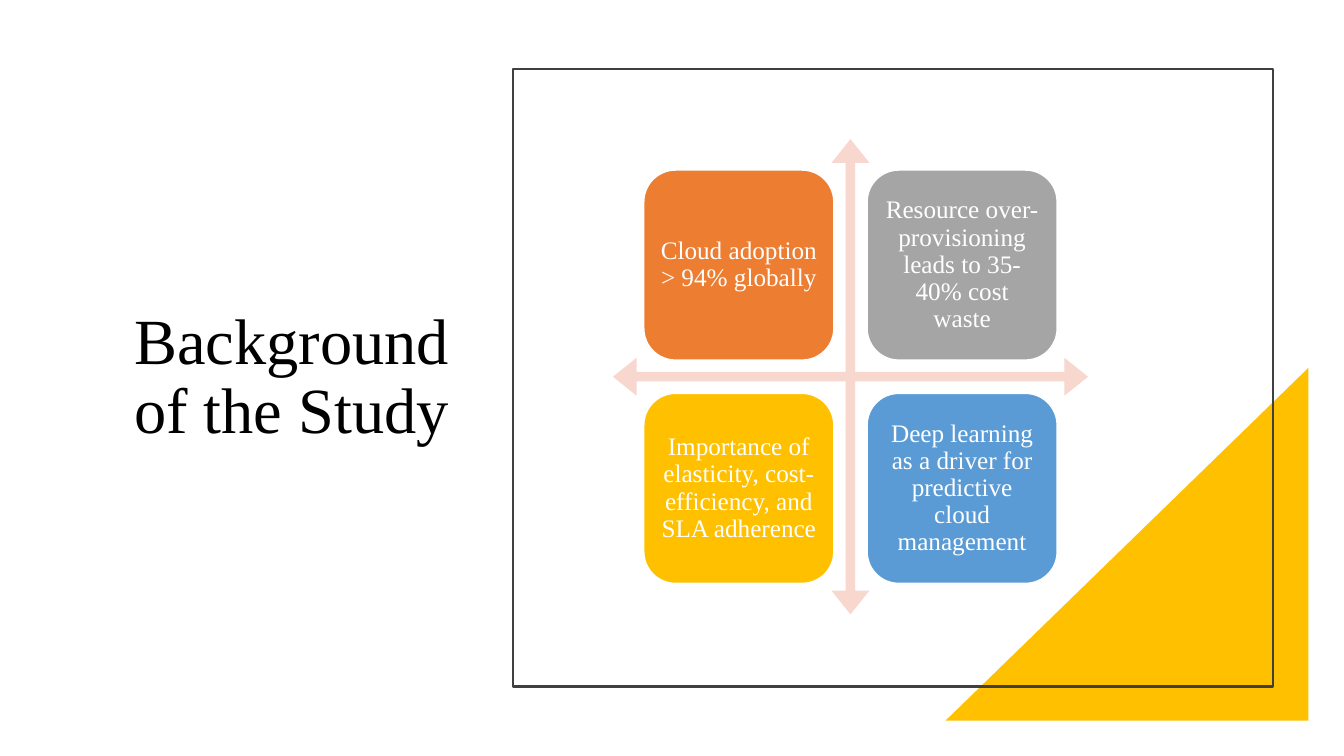
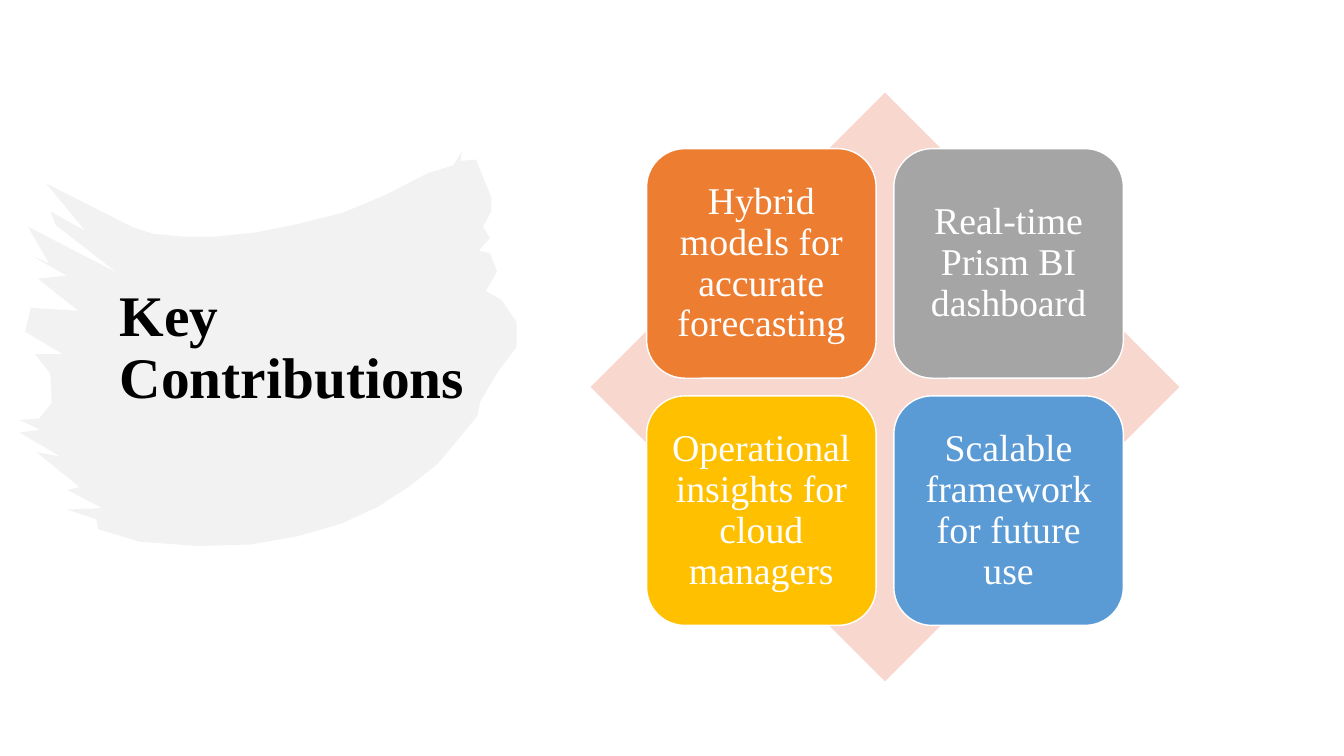
from dataclasses import dataclass
from typing import Any

from lxml import etree
from pptx import Presentation
from pptx.dml.color import RGBColor
from pptx.enum.shapes import MSO_SHAPE
from pptx.enum.text import MSO_ANCHOR, PP_ALIGN
from pptx.oxml.ns import qn
from pptx.util import Pt

RECT = MSO_SHAPE.RECTANGLE
ROUND = MSO_SHAPE.ROUNDED_RECTANGLE
WEDGE = MSO_SHAPE.RIGHT_TRIANGLE
ARROWS = MSO_SHAPE.QUAD_ARROW
DIAMOND = MSO_SHAPE.DIAMOND
MIDDLE = MSO_ANCHOR.MIDDLE
LEFT, CENTER, RIGHT = PP_ALIGN.LEFT, PP_ALIGN.CENTER, PP_ALIGN.RIGHT

FONT = "Times New Roman"
COLORS = {
    "white": "FFFFFF",
    "black": "000000",
    "frame": "404040",
    "blush": "F8D7CE",
    "brush": "E7E6E6",
    "orange": "ED7D31",
    "gray": "A5A5A5",
    "gold": "FFC000",
    "blue": "5B9BD5",
}
CARD_FILLS = ("orange", "gray", "gold", "blue")
SPACING = 0.9

Point = tuple[float, float]

# Brush outline in points, clockwise: ragged ends joined by two smooth sweeps
STEPS = 8
RIGHT_END = (
    (330, 108), (329, 115), (340, 114), (351, 141), (351, 151), (345, 162),
    (350, 170), (342, 179), (350, 181), (355, 194), (347, 208), (358, 214),
    (369, 230), (369, 248), (356, 265), (343, 287), (341, 297), (328, 313),
)
LOW_SWEEP = ((328, 313), (292, 362), (215, 402), (100, 387))
LEFT_END = (
    (70, 378), (69, 371), (48, 364), (73, 363), (48, 350), (57, 348),
    (26, 323), (43, 326), (14, 309), (29, 307), (14, 300), (28, 299),
    (37, 288), (36, 267), (25, 253), (45, 253), (18, 237), (22, 220),
    (56, 222), (27, 199), (48, 197), (23, 183), (35, 188), (20, 162),
    (84, 195), (40, 161), (36, 151), (61, 165), (33, 131), (94, 162),
)
TOP_SWEEP = ((94, 162), (125, 178), (230, 170), (305, 124), (324, 118), (330, 108))


@dataclass(frozen=True)
class Box:
    """A place on the slide, in points."""
    left: float
    top: float
    width: float
    height: float

    def place(self) -> tuple[Pt, Pt, Pt, Pt]:
        return Pt(self.left), Pt(self.top), Pt(self.width), Pt(self.height)


@dataclass(frozen=True)
class Title:
    text: str
    box: Box
    size: float
    bold: bool
    align: Any


@dataclass(frozen=True)
class Matrix:
    """Four cards over a backdrop; share and inset are parts of its size."""
    back: Any
    left: float
    top: float
    size: float
    share: float
    inset: float
    font: float
    texts: tuple[str, str, str, str]
    adjust: tuple[float, ...] = ()


STUDY = Title("Background of the Study", Box(79.2, 93.6, 248.4, 352.8), 46, False, RIGHT)
GAINS = Title("Key Contributions", Box(78.5, 54, 275, 390), 41, True, LEFT)

TRENDS = Matrix(
    ARROWS, 437.8, 99.4, 339.4, 0.4, 0.065, 18,
    (
        "Cloud adoption > 94% globally",
        "Resource over-provisioning leads to 35-40% cost waste",
        "Importance of elasticity, cost-efficiency, and SLA adherence",
        "Deep learning as a driver for predictive cloud management",
    ),
    (0.02, 0.04, 0.05),
)
RESULTS = Matrix(
    DIAMOND, 421.9, 66.2, 420.5, 0.39, 0.095, 27,
    (
        "Hybrid models for accurate forecasting",
        "Real-time Prism BI dashboard",
        "Operational insights for cloud managers",
        "Scalable framework for future use",
    ),
)


def rgb(name: str) -> RGBColor:
    return RGBColor.from_string(COLORS[name])


def apply(target: Any, values: dict[str, Any]) -> None:
    for name, value in values.items():
        setattr(target, name, value)


def paint(shape: Any, fill: str | None, line: str | None = None, width: float = 1) -> None:
    shape.shadow.inherit = False
    if fill:
        shape.fill.solid()
        shape.fill.fore_color.rgb = rgb(fill)
    else:
        shape.fill.background()
    if line:
        shape.line.color.rgb = rgb(line)
        shape.line.width = Pt(width)
    else:
        shape.line.fill.background()


def write(shape: Any, text: str, size: float, color: str, align: Any,
          bold: bool = False, inset: float | None = None) -> None:
    frame = shape.text_frame
    apply(frame, {"word_wrap": True, "vertical_anchor": MIDDLE})
    if inset is not None:
        sides = ("left", "top", "right", "bottom")
        apply(frame, {f"margin_{side}": Pt(inset) for side in sides})
    para = frame.paragraphs[0]
    apply(para, {"alignment": align, "line_spacing": SPACING})
    run = para.add_run()
    run.text = text
    apply(run.font, {"name": FONT, "size": Pt(size), "bold": bold})
    run.font.color.rgb = rgb(color)


def add_title(slide: Any, title: Title) -> None:
    box = slide.shapes.add_textbox(*title.box.place())
    write(box, title.text, title.size, "black", title.align, title.bold)


def add_matrix(slide: Any, grid: Matrix) -> None:
    base = Box(grid.left, grid.top, grid.size, grid.size)
    back = slide.shapes.add_shape(grid.back, *base.place())
    for index, value in enumerate(grid.adjust):
        back.adjustments[index] = value
    paint(back, "blush")
    side = grid.size * grid.share
    edge = grid.size * grid.inset
    step = grid.size - 2 * edge - side
    for index, (text, fill) in enumerate(zip(grid.texts, CARD_FILLS)):
        row, col = divmod(index, 2)
        spot = Box(grid.left + edge + col * step, grid.top + edge + row * step, side, side)
        card = slide.shapes.add_shape(ROUND, *spot.place())
        paint(card, fill, "white")
        write(card, text, grid.font, "white", CENTER, inset=0.3 * grid.font)


def add_wedge(slide: Any) -> None:
    wedge = slide.shapes.add_shape(WEDGE, *Box(675.4, 262.8, 259.2, 252).place())
    paint(wedge, "gold")
    wedge._element.spPr.get_or_add_xfrm().set("flipH", "1")


def add_frame(slide: Any) -> None:
    frame = slide.shapes.add_shape(RECT, *Box(366.5, 49, 542.9, 441.4).place())
    paint(frame, None, "frame", 1.5)


def sweep(points: tuple[Point, ...]) -> list[Point]:
    """Sample the cubic curve whose controls are the first four points."""
    curve = []
    for index in range(1, STEPS + 1):
        t = index / STEPS
        u = 1 - t
        parts = (u ** 3, 3 * u * u * t, 3 * u * t * t, t ** 3)
        x, y = (sum(k * p[axis] for k, p in zip(parts, points)) for axis in (0, 1))
        curve.append((x, y))
    return curve + list(points[4:])


def add_brush(slide: Any) -> None:
    """Draw the half-transparent paint stroke behind the title."""
    start, *rest = RIGHT_END
    maker = slide.shapes.build_freeform(*start, scale=Pt(1))
    outline = rest + sweep(LOW_SWEEP) + list(LEFT_END) + sweep(TOP_SWEEP)
    maker.add_line_segments(outline, close=True)
    brush = maker.convert_to_shape()
    paint(brush, "brush")
    color = brush._element.spPr.find(".//" + qn("a:srgbClr"))
    etree.SubElement(color, qn("a:alpha")).set("val", "50000")


def main() -> None:
    deck = Presentation()
    apply(deck, {"slide_width": Pt(960), "slide_height": Pt(540)})
    blank = deck.slide_layouts[6]

    slide = deck.slides.add_slide(blank)
    add_title(slide, STUDY)
    add_wedge(slide)
    add_frame(slide)
    add_matrix(slide, TRENDS)

    slide = deck.slides.add_slide(blank)
    add_brush(slide)
    add_title(slide, GAINS)
    add_matrix(slide, RESULTS)

    deck.save("out.pptx")


if __name__ == "__main__":
    main()
